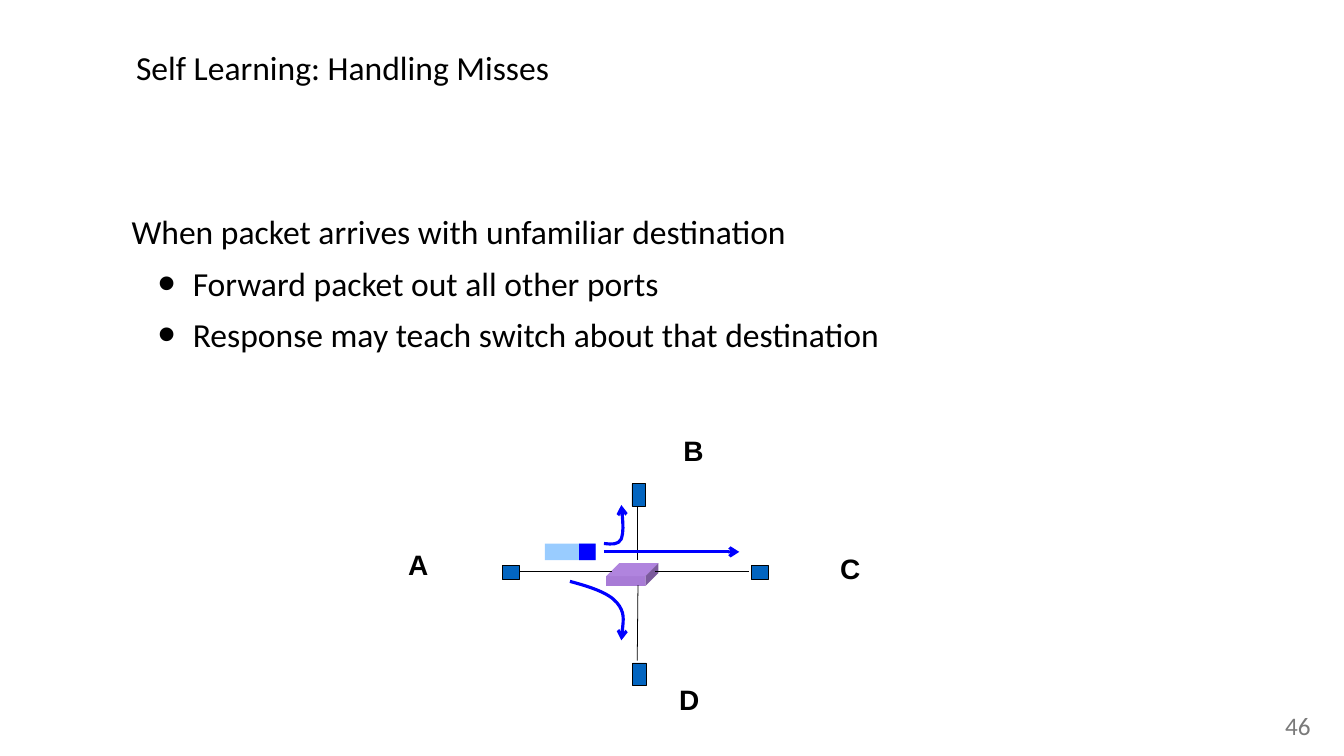
from lxml.etree import SubElement as Sub
from pptx import Presentation
from pptx.dml.color import RGBColor as Color
from pptx.enum.shapes import MSO_CONNECTOR as Link, MSO_SHAPE as Shape
from pptx.enum.text import MSO_ANCHOR as Anchor, PP_ALIGN as Align
from pptx.oxml.ns import qn
from pptx.util import Inches, Pt

HUES = {
    "black": "000000", "gray": "7A7A7A", "host": "0365C0",
    "front": "A87BD6", "top": "B084DE", "side": "7B5A9C",
    "data": "99CCFF", "flow": "0000FF",
}


def hue(name):
    return Color.from_string(HUES[name])


def add_text(slide, box, lines, size, font="Calibri", color="black",
             bold=False, inset=0, anchor=Anchor.TOP, align=Align.LEFT,
             wrap=True, bullets=False):
    """Add a text box; with bullets, every line after the first has one."""
    frame = slide.shapes.add_textbox(*map(Inches, box)).text_frame
    frame.word_wrap = wrap
    frame.vertical_anchor = anchor
    frame.margin_left = frame.margin_right = Inches(inset)
    frame.margin_top = frame.margin_bottom = Inches(min(inset, 0.06))
    for i, line in enumerate(lines):
        para = frame.paragraphs[0] if i == 0 else frame.add_paragraph()
        para.text = line
        para.alignment = align
        if bullets:
            para.line_spacing = 1.1
            if i:
                para.space_before = Pt(7)
                add_bullet(para)
        para.font.size = Pt(size)
        para.font.name = font
        para.font.bold = bold
        para.font.color.rgb = hue(color)


def add_bullet(para):
    props = para._p.get_or_add_pPr()
    props.set("marL", str(Inches(0.81)))
    props.set("indent", str(Inches(-0.46)))
    Sub(props, qn("a:buSzPct"), val="150000")
    Sub(props, qn("a:buFont"), typeface="Arial")
    Sub(props, qn("a:buChar"), char="•")


def add_rect(slide, box, fill, edge=None):
    rect = slide.shapes.add_shape(Shape.RECTANGLE, *map(Inches, box))
    paint(rect, fill)
    if edge:
        rect.line.color.rgb = hue(edge)
        rect.line.width = Pt(0.75)


def paint(shape, fill):
    shape.shadow.inherit = False
    shape.fill.solid()
    shape.fill.fore_color.rgb = hue(fill)
    shape.line.fill.background()


def add_path(slide, points, close):
    start, *rest = [tuple(map(Inches, p)) for p in points]
    pen = slide.shapes.build_freeform(*start)
    pen.add_line_segments(rest, close=close)
    return pen.convert_to_shape()


def style_line(shape, color, width, arrow):
    shape.line.color.rgb = hue(color)
    shape.line.width = Pt(width)
    if arrow:
        Sub(shape.line._get_or_add_ln(), qn("a:tailEnd"), type="arrow")


def add_line(slide, start, end, color="black", width=0.75, arrow=False):
    line = slide.shapes.add_connector(
        Link.STRAIGHT, *map(Inches, (*start, *end)))
    style_line(line, color, width, arrow)
    Sub(line._element.spPr, qn("a:effectLst"))


def add_curve(slide, points):
    """Draw a Bezier arrow: a start, then three points for each segment."""
    curve = add_path(slide, points, False)
    curve.shadow.inherit = False
    curve.fill.background()
    track = curve._element.find(".//" + qn("a:path"))
    steps = track.findall(qn("a:lnTo"))
    for i in range(0, len(steps), 3):
        bend = Sub(track, qn("a:cubicBezTo"))
        for step in steps[i:i + 3]:
            bend.append(step[0])
            track.remove(step)
    style_line(curve, "flow", 3, True)


def add_switch(slide):
    left, top, wide, high, deep = 8.02, 7.62, 0.52, 0.13, 0.17
    right, low = left + wide, top + high
    add_rect(slide, (left, top, wide, high), "front")
    back, far = top - deep, right + deep
    faces = {
        "top": [(left, top), (left + deep, back), (far, back), (right, top)],
        "side": [(right, top), (far, back), (far, low - deep), (right, low)],
    }
    for name, points in faces.items():
        paint(add_path(slide, points, True), name)


def main():
    deck = Presentation()
    deck.slide_width, deck.slide_height = Inches(17.78), Inches(10)
    slide = deck.slides.add_slide(deck.slide_layouts[6])

    add_text(slide, (1.74, 2.4, 14.31, 2.63), [
        "When packet arrives with unfamiliar destination",
        "Forward packet out all other ports",
        "Response may teach switch about that destination",
    ], 32, anchor=Anchor.MIDDLE, bullets=True)
    add_text(slide, (1.74, 0, 14.31, 1.78), ["Self Learning: Handling Misses"],
             32, inset=0.06, anchor=Anchor.MIDDLE)

    add_switch(slide)
    for left in (6.65, 9.94):
        add_rect(slide, (left, 7.48, 0.22, 0.19), "host", "black")
    for left, top in ((8.36, 6.4), (8.37, 8.77)):
        add_rect(slide, (left, top, 0.18, 0.3), "host", "black")
    for start, end in (((6.87, 7.56), (8.1, 7.56)),
                       ((8.43, 6.7), (8.43, 7.41)),
                       ((9.91, 7.56), (8.67, 7.56)),
                       ((8.43, 8.74), (8.44, 7.74))):
        add_line(slide, start, end)

    for name, left, top, wide in (("A", 5.3, 7.18, 0.47),
                                  ("B", 8.94, 5.67, 0.47),
                                  ("C", 10.98, 7.24, 0.54),
                                  ("D", 8.85, 8.97, 0.54)):
        add_text(slide, (left, top, wide, 0.55), [name], 26.7, "Arial",
                 bold=True, inset=0.1, align=Align.CENTER, wrap=False)

    add_rect(slide, (7.21, 7.19, 0.67, 0.22), "data")
    add_rect(slide, (7.66, 7.19, 0.22, 0.22), "flow")
    add_curve(slide, [(7.99, 7.19), (8.09, 7.2), (8.18, 7.21), (8.22, 7.13),
                      (8.25, 7.04), (8.24, 6.86), (8.22, 6.68)])
    add_curve(slide, [(7.54, 7.69), (7.8, 7.76), (8.05, 7.84), (8.16, 7.97),
                      (8.27, 8.1), (8.24, 8.28), (8.22, 8.47)])
    add_line(slide, (7.99, 7.3), (9.78, 7.3), "flow", 3, True)
    add_text(slide, (16.94, 9.39, 0.46, 0.5), ["46"], 24, color="gray",
             align=Align.CENTER, wrap=False)
    deck.save("out.pptx")


if __name__ == "__main__":
    main()
